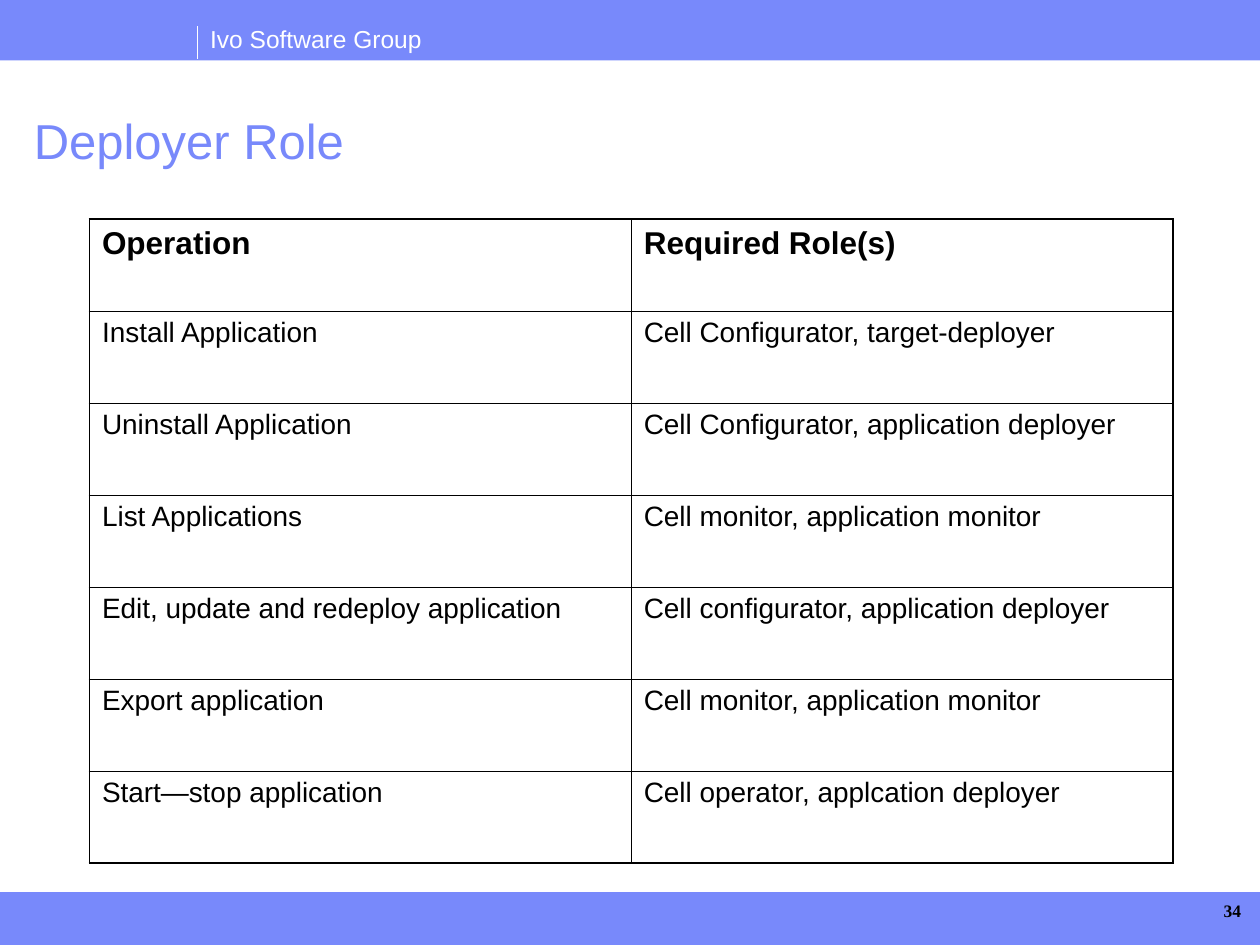
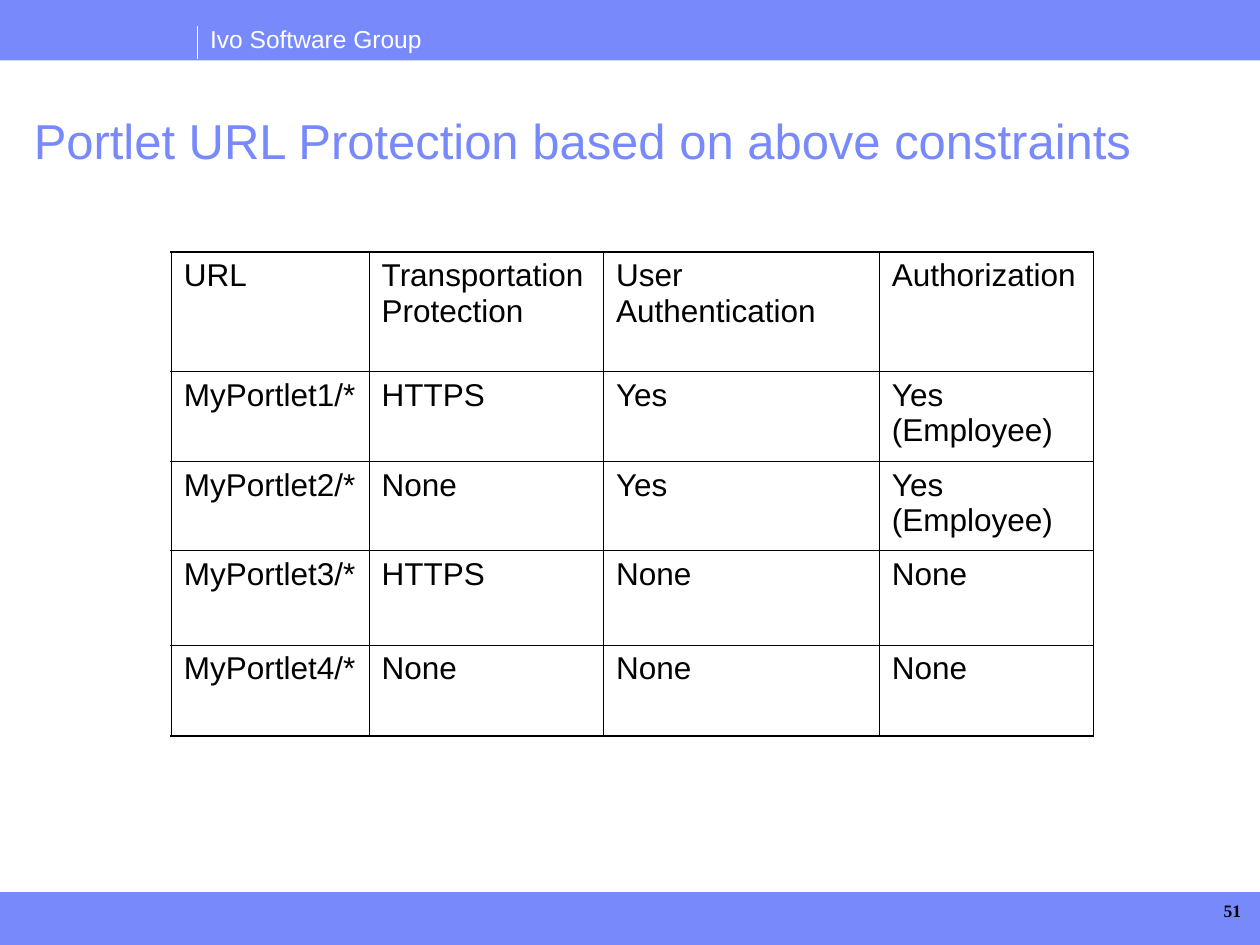
import pptx
import pptx.dml.color
import pptx.enum.shapes
import pptx.enum.text
import pptx.oxml.ns
import pptx.util
from lxml import etree

Inches = pptx.util.Inches
Pt = pptx.util.Pt
RGB = pptx.dml.color.RGBColor
ALIGN = pptx.enum.text.PP_ALIGN
ANCHOR = pptx.enum.text.MSO_ANCHOR
SHAPE = pptx.enum.shapes.MSO_SHAPE
LINE = pptx.enum.shapes.MSO_CONNECTOR

BLUE = RGB(0x78, 0x89, 0xFB)
WHITE = RGB(0xFF, 0xFF, 0xFF)
BLACK = RGB(0, 0, 0)
SANS = "Arial"
SERIF = "Times New Roman"
OUTER, INNER = 1.08, 0.45

ROLES = [
    ("Operation", "Required Role(s)"),
    ("Install Application", "Cell Configurator, target-deployer"),
    ("Uninstall Application", "Cell Configurator, application deployer"),
    ("List Applications", "Cell monitor, application monitor"),
    ("Edit, update and redeploy application", "Cell configurator, application deployer"),
    ("Export application", "Cell monitor, application monitor"),
    ("Start—stop application", "Cell operator, applcation deployer"),
]
URLS = [
    ("URL", "Transportation Protection", "User Authentication", "Authorization"),
    ("MyPortlet1/*", "HTTPS", "Yes", "Yes (Employee)"),
    ("MyPortlet2/*", "None", "Yes", "Yes (Employee)"),
    ("MyPortlet3/*", "HTTPS", "None", "None"),
    ("MyPortlet4/*", "None", "None", "None"),
]


def write(frame, text, size, color=BLACK, font=SANS, bold=False):
    """Write one run in the first paragraph and return that paragraph."""
    frame.word_wrap = True
    para = frame.paragraphs[0]
    run = para.add_run()
    run.text = text
    run.font.size = Pt(size)
    run.font.name = font
    run.font.bold = bold
    run.font.color.rgb = color
    return para


def box(slide, left, top, width, height):
    """Add a text box and return its frame."""
    return slide.shapes.add_textbox(
        Inches(left), Inches(top), Inches(width), Inches(height)).text_frame


def band(slide, top, height):
    """Draw a blue band across the slide."""
    bar = slide.shapes.add_shape(
        SHAPE.RECTANGLE, 0, Inches(top), Inches(10), Inches(height))
    bar.shadow.inherit = False
    bar.fill.solid()
    bar.fill.fore_color.rgb = BLUE
    bar.line.fill.background()


def header(slide):
    """Draw the top band with its rule and group name."""
    band(slide, 0, 0.48)
    write(box(slide, 1.57, 0.14, 1.96, 0.34), "Ivo Software Group", 14, WHITE)
    rule = slide.shapes.add_connector(
        LINE.STRAIGHT, Inches(1.57), Inches(0.21), Inches(1.57), Inches(0.47))
    rule.line.color.rgb = WHITE
    rule.line.width = Pt(0.75)
    etree.SubElement(rule._element.spPr, pptx.oxml.ns.qn("a:effectLst"))


def footer(slide, number):
    """Draw the bottom band with the page number."""
    band(slide, 7.08, 0.42)
    frame = box(slide, 9.11, 7.14, 0.74, 0.17)
    frame.margin_left = frame.margin_right = 0
    frame.margin_top = frame.margin_bottom = 0
    write(frame, str(number), 10, font=SERIF, bold=True).alignment = ALIGN.RIGHT


def title(slide, text):
    """Write the slide title."""
    frame = box(slide, 0.17, 0.88, 9.26, 0.52)
    frame.vertical_anchor = ANCHOR.MIDDLE
    write(frame, text, 28, BLUE).line_spacing = 0.9


def border(cell, side, width):
    """Draw one black edge of a cell."""
    qn = pptx.oxml.ns.qn
    edge = etree.SubElement(
        cell._tc.get_or_add_tcPr(), qn("a:ln" + side), w=str(Pt(width)))
    fill = etree.SubElement(edge, qn("a:solidFill"))
    etree.SubElement(fill, qn("a:srgbClr"), val=str(BLACK))


def grid(slide, left, top, cols, rows, data, size, bold=False):
    """Build a ruled table with a heavier outer frame."""
    table = slide.shapes.add_table(
        len(rows), len(cols), Inches(left), Inches(top),
        Inches(sum(cols)), Inches(sum(rows))).table
    table.first_row = table.horz_banding = False
    for col, width in zip(table.columns, cols):
        col.width = Inches(width)
    for row, height in zip(table.rows, rows):
        row.height = Inches(height)
    for r, line in enumerate(data):
        for c, text in enumerate(line):
            cell = table.cell(r, c)
            edges = {"L": c == 0, "R": c == len(cols) - 1,
                     "T": r == 0, "B": r == len(rows) - 1}
            for side, outer in edges.items():
                border(cell, side, OUTER if outer else INNER)
            cell.fill.background()
            para = write(cell.text_frame, text, 18 if r == 0 else size,
                         bold=bold and r == 0)
            para.space_after = Pt(3)


def page(deck, text, number):
    """Add a slide with the shared bands and title."""
    slide = deck.slides.add_slide(deck.slide_layouts[6])
    header(slide)
    footer(slide, number)
    title(slide, text)
    return slide


def main():
    """Build and save the deck."""
    deck = pptx.Presentation()
    deck.slide_width = Inches(10)
    deck.slide_height = Inches(7.5)
    slide = page(deck, "Deployer Role", 34)
    grid(slide, 0.71, 1.74, [4.3] * 2, [0.73] * 7, ROLES, 16, bold=True)
    slide = page(deck, "Portlet URL Protection based on above constraints", 51)
    grid(slide, 1.36, 2, [1.57, 1.86, 2.19, 1.7],
         [0.95, 0.71, 0.71, 0.75, 0.72], URLS, 18)
    deck.save("out.pptx")


if __name__ == "__main__":
    main()
